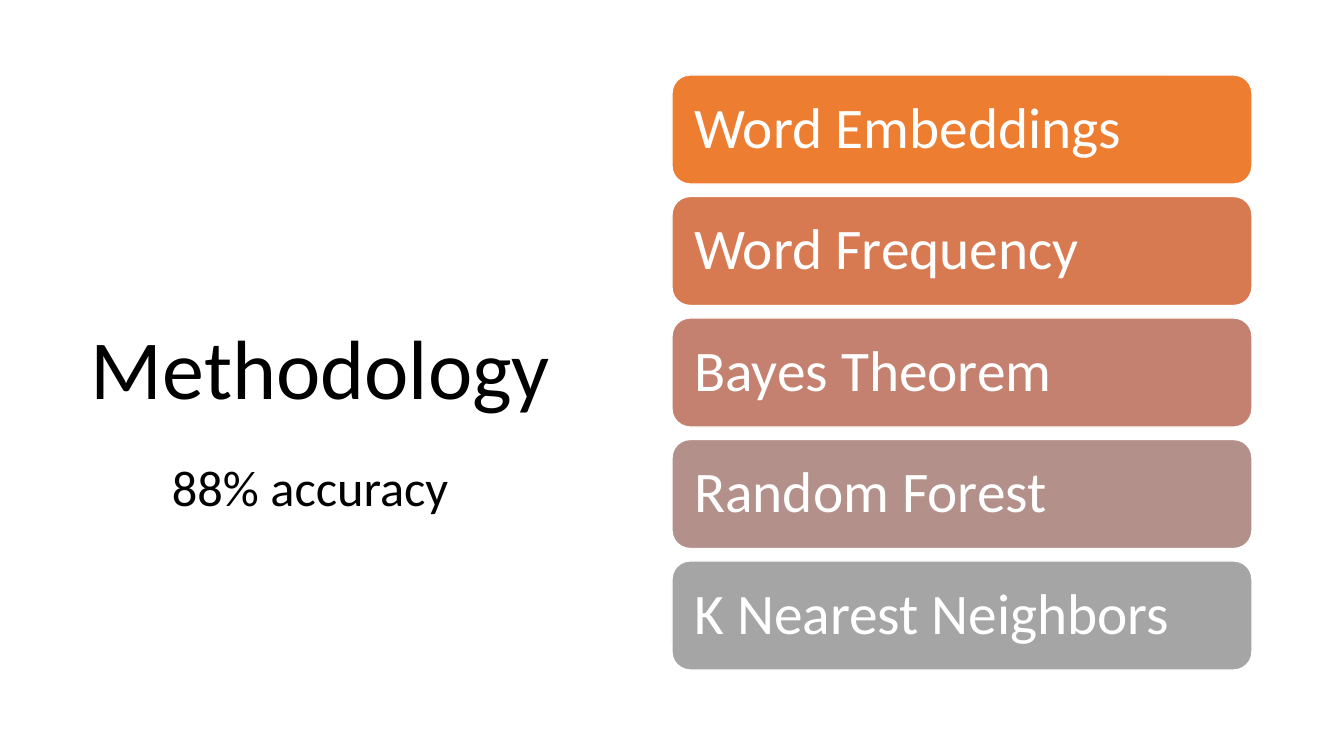
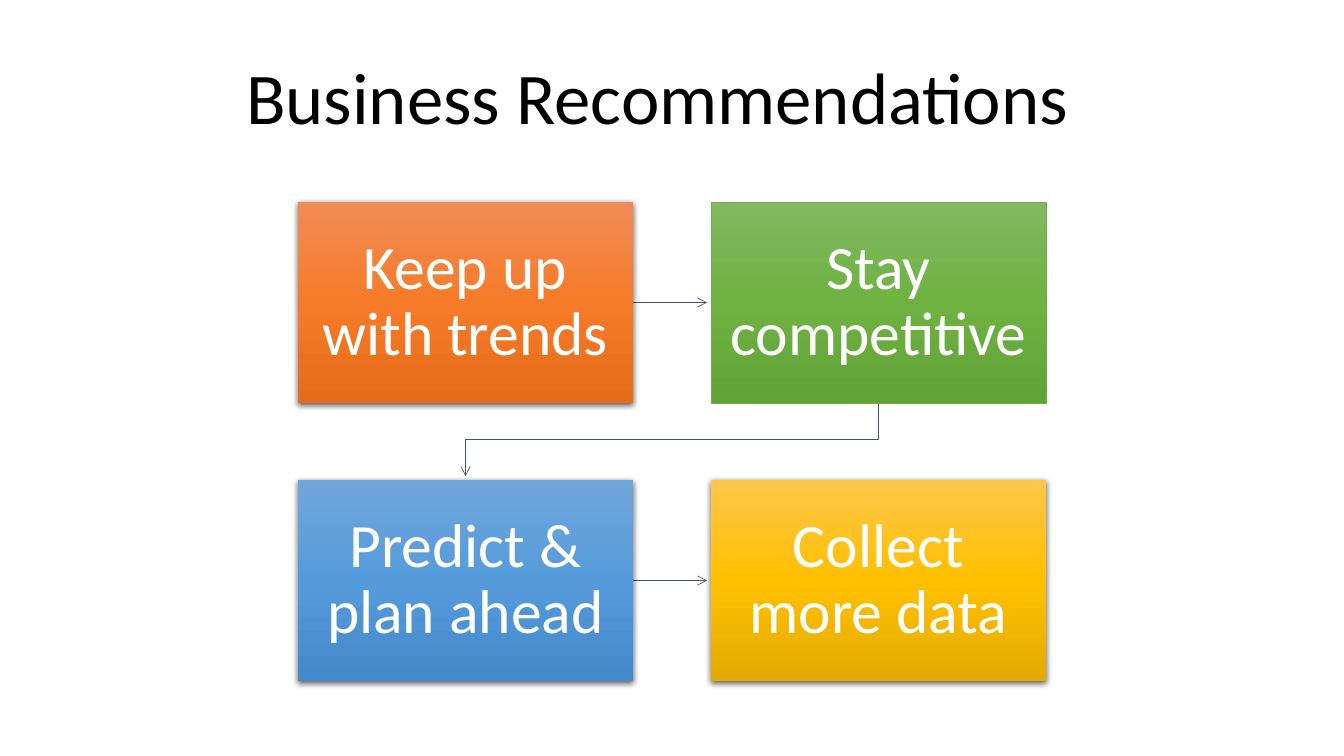
from copy import deepcopy
from dataclasses import dataclass

from lxml import etree
from pptx import Presentation
from pptx import util as u
from pptx.dml import color
from pptx.enum import dml, shapes, text
from pptx.oxml import ns

EMU_PER_PX = 12192000 / 1344
PAGE_SIZE = (1344, 756)
TITLE_ONLY = 5


@dataclass(frozen=True)
class Theme:
    font: str = "Calibri"
    ink: str = "000000"
    paper: str = "FFFFFF"
    arrow: str = "44546A"
    title_large: int = 60
    title: int = 52
    step: int = 44
    bar: int = 41
    note: int = 36
    line_spacing: float = 0.9


THEME = Theme()

METHODS = [
    ("Word Embeddings", "ED7D31"),
    ("Word Frequency", "D87A51"),
    ("Bayes Theorem", "C48170"),
    ("Random Forest", "B4908B"),
    ("K Nearest Neighbors", "A5A5A5"),
]
STEPS = [
    ("Keep up with trends", ("F18C57", "F67B28", "E56C19"), None),
    ("Stay competitive", ("81B861", "6FB242", "62A336"), "70AD47"),
    ("Predict & plan ahead", ("71A6DB", "559BDB", "448ACA"), None),
    ("Collect more data", ("FFC64B", "FFC000", "E3AB00"), None),
]


def px(value):
    return u.Emu(round(value * EMU_PER_PX))


def rgb(value):
    return color.RGBColor.from_string(value)


def write(box, words, size, ink, align=text.PP_ALIGN.LEFT, insets=(10, 5),
          anchor=text.MSO_ANCHOR.MIDDLE, spacing=THEME.line_spacing):
    frame = box.text_frame
    frame.text = words
    frame.word_wrap = True
    frame.auto_size = text.MSO_AUTO_SIZE.NONE
    frame.vertical_anchor = anchor
    frame.margin_left = frame.margin_right = px(insets[0])
    frame.margin_top = frame.margin_bottom = px(insets[1])
    para = frame.paragraphs[0]
    para.alignment = align
    para.line_spacing = spacing
    para.font.name = THEME.font
    para.font.size = u.Pt(size)
    para.font.color.rgb = rgb(ink)


def add_page(deck, title, region, size):
    page = deck.slides.add_slide(deck.slide_layouts[TITLE_ONLY])
    box = page.shapes.title
    box.left, box.top, box.width, box.height = map(px, region)
    write(box, title, size, THEME.ink)
    return page


def add_block(page, kind, region):
    block = page.shapes.add_shape(kind, *map(px, region))
    block.shadow.inherit = False
    return block


def set_line(line, ink, width):
    line.color.rgb = rgb(ink)
    line.width = u.Pt(width)


def set_gradient(block, colors):
    block.fill.gradient()
    block.fill.gradient_angle = 270
    stop_list = block.fill._xPr.find(".//" + ns.qn("a:gsLst"))
    stop_list.insert(1, deepcopy(stop_list[0]))
    for index, (stop, ink) in enumerate(zip(block.fill.gradient_stops, colors)):
        stop.color.rgb = rgb(ink)
        stop.position = index / (len(colors) - 1)


def add_shadow(block):
    effects = block._element.spPr.find(ns.qn("a:effectLst"))
    shadow = etree.SubElement(
        effects, ns.qn("a:outerShdw"), blurRad=str(u.Pt(4.5)),
        dist=str(u.Pt(1.5)), dir="5400000", algn="ctr", rotWithShape="0")
    ink = etree.SubElement(shadow, ns.qn("a:srgbClr"), val=THEME.ink)
    etree.SubElement(ink, ns.qn("a:alpha"), val="63000")


def add_arrow(page, kind, start, end):
    arrow = page.shapes.add_connector(kind, *map(px, (*start, *end)))
    set_line(arrow.line, THEME.arrow, 0.5)
    etree.SubElement(arrow.line._get_or_add_ln(), ns.qn("a:tailEnd"), type="arrow")
    etree.SubElement(arrow._element.spPr, ns.qn("a:effectLst"))
    return arrow


def add_return_arrow(page, start, end):
    center_x, center_y = (start[0] + end[0]) / 2, (start[1] + end[1]) / 2
    half_drop, half_run = (end[1] - start[1]) / 2, (start[0] - end[0]) / 2
    arrow = add_arrow(page, shapes.MSO_CONNECTOR.ELBOW,
                      (center_x - half_drop, center_y - half_run),
                      (center_x + half_drop, center_y + half_run))
    arrow._element.spPr.find(ns.qn("a:xfrm")).set("rot", "5400000")


def draw_method_bars(page, region, methods, bar_height=109):
    left, top, width, height = region
    pitch = (height - bar_height) / (len(methods) - 1)
    for index, (name, fill) in enumerate(methods):
        bar = add_block(page, shapes.MSO_SHAPE.ROUNDED_RECTANGLE,
                        (left, top + index * pitch, width, bar_height))
        bar.fill.solid()
        bar.fill.fore_color.rgb = rgb(fill)
        set_line(bar.line, THEME.paper, 1)
        write(bar, name, THEME.bar, THEME.paper, insets=(17, 17))


def draw_accuracy_note(page, region, words):
    box = page.shapes.add_textbox(*map(px, region))
    write(box, words, THEME.note, THEME.ink,
          anchor=text.MSO_ANCHOR.TOP, spacing=1)


def draw_step_flow(page, region, steps, step_size=(335, 201), tip_gap=4):
    left, top, width, height = region
    step_width, step_height = step_size
    columns = (left, left + width - step_width)
    rows = (top, top + height - step_height)
    for row in rows:
        middle = row + step_height / 2
        add_arrow(page, shapes.MSO_CONNECTOR.STRAIGHT,
                  (columns[0] + step_width, middle),
                  (columns[1] - tip_gap, middle))
    add_return_arrow(page,
                     (columns[1] + step_width / 2, rows[0] + step_height),
                     (columns[0] + step_width / 2, rows[1] - tip_gap))
    for index, (words, colors, outline) in enumerate(steps):
        row, column = divmod(index, 2)
        step = add_block(page, shapes.MSO_SHAPE.RECTANGLE,
                         (columns[column], rows[row], *step_size))
        set_gradient(step, colors)
        if outline:
            set_line(step.line, outline, 0.5)
        else:
            step.line.fill.background()
            add_shadow(step)
        write(step, words, THEME.step, THEME.paper,
              text.PP_ALIGN.CENTER, insets=(16, 17))


def build_methodology(deck):
    page = add_page(deck, "Methodology", (81, 69, 572, 607), THEME.title_large)
    draw_method_bars(page, (672, 75, 580, 595), METHODS)
    draw_accuracy_note(page, (162, 451, 311, 72), "88% accuracy")


def build_recommendations(deck):
    page = add_page(deck, "Business Recommendations", (236, 38, 1108, 125),
                    THEME.title)
    draw_step_flow(page, (298, 202, 748, 479), STEPS)


def main():
    deck = Presentation()
    deck.slide_width, deck.slide_height = map(px, PAGE_SIZE)
    build_methodology(deck)
    build_recommendations(deck)
    deck.save("out.pptx")


if __name__ == "__main__":
    main()
